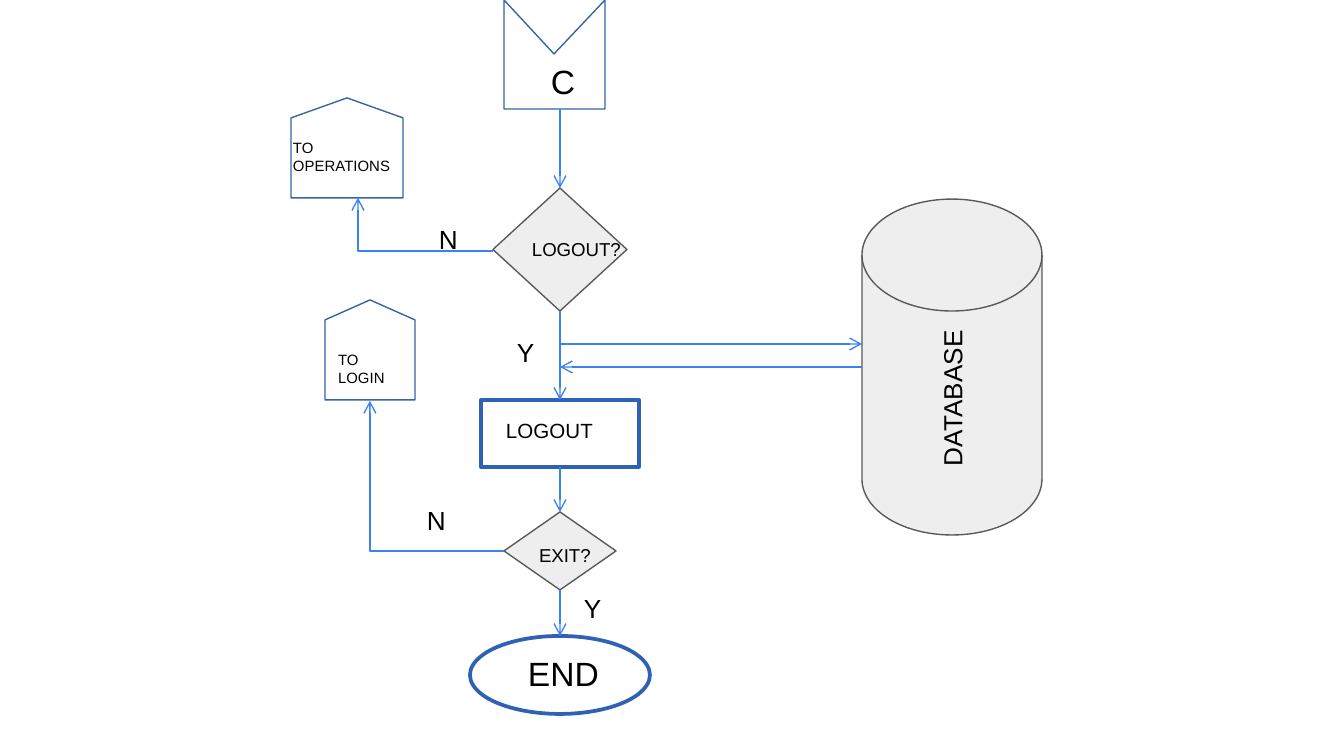
from lxml.etree import SubElement
from pptx import Presentation
from pptx.dml.color import RGBColor
from pptx.enum.shapes import MSO_CONNECTOR, MSO_SHAPE
from pptx.enum.text import MSO_ANCHOR, PP_ALIGN
from pptx.oxml.ns import qn
from pptx.util import Emu, Pt

PX = 914400 / 134.4
AXIS = 560
GREY, WHITE, BLACK = "EEEEEE", "FFFFFF", "000000"
DARK, BLUE, THIN, FLOW = "595959", "3062B4", "3465A4", "3C81F3"

# name: kind, left, top, width, height, fill, line, line width
SHAPES = {
    "database": (MSO_SHAPE.FLOWCHART_DIRECT_ACCESS_STORAGE, 784, 277, 336, 180, GREY, DARK, 0.75),
    "end": (MSO_SHAPE.OVAL, 470, 636, 180, 78, WHITE, BLUE, 2),
    "logout": (MSO_SHAPE.RECTANGLE, 481, 400, 158, 67, WHITE, BLUE, 2),
    "operations": (MSO_SHAPE.FLOWCHART_OFFPAGE_CONNECTOR, 291, 98, 112, 100, WHITE, THIN, 0),
    "logout?": (MSO_SHAPE.DIAMOND, 493, 188, 134, 123, GREY, DARK, 0.75),
    "exit?": (MSO_SHAPE.DIAMOND, 504, 512, 112, 78, GREY, DARK, 0.75),
    "login": (MSO_SHAPE.FLOWCHART_OFFPAGE_CONNECTOR, 325, 300, 90, 100, WHITE, THIN, 0),
}
ENTRY = [(504, 0), (554, 54), (605, 0), (605, 109), (504, 109)]

# start, end, name of the shape left, name of the shape reached
DOWN = [
    (109, 188, None, "logout?"),
    (311, 400, "logout?", "logout"),
    (467, 512, "logout", "exit?"),
    (590, 636, "exit?", "end"),
]
ACROSS = [((AXIS, 344), (862, 344)), ((862, 367), (AXIS, 367))]
BENT = [((493, 251), (358, 198)), ((504, 551), (370, 401))]

# lines, left, top, width, height, size, top inset
LABELS = [
    (["C"], 538, 54, 56, 54, 18, 7),
    (["END"], 515, 646, 134, 54, 18, 7),
    (["LOGOUT"], 493, 411, 134, 38, 11, 7),
    (["LOGOUT?"], 519, 227, 131, 50, 10, 13),
    (["EXIT?"], 526, 533, 112, 52, 10, 13),
    (["TO", "OPERATIONS"], 280, 132, 145, 67, 8, 7),
    (["TO", "LOGIN"], 325, 344, 101, 56, 8, 7),
    (["Y"], 571, 579, 36, 59, 14, 13),
    (["Y"], 504, 323, 36, 59, 14, 13),
    (["N"], 414, 491, 36, 58, 14, 13),
    (["N"], 426, 210, 36, 58, 14, 13),
]


def px(*nums):
    return [Emu(round(n * PX)) for n in nums]


def color(code):
    return RGBColor.from_string(code)


def style(shape, fill, line, width):
    shape.shadow.inherit = False
    if fill:
        shape.fill.solid()
        shape.fill.fore_color.rgb = color(fill)
    else:
        shape.fill.background()
    shape.line.color.rgb = color(line)
    shape.line.width = Pt(width)


def write(shape, lines, size, top):
    frame = shape.text_frame
    frame.word_wrap = True
    frame.margin_left, frame.margin_right = px(13, 13)
    frame.margin_top, frame.margin_bottom = px(top, top)
    for i, line in enumerate(lines):
        para = frame.add_paragraph() if i else frame.paragraphs[0]
        para.alignment = PP_ALIGN.LEFT
        run = para.add_run()
        run.text = line
        run.font.name = "Arial"
        run.font.size = Pt(size)
        run.font.color.rgb = color(BLACK)


def arrow(start, end, kind=MSO_CONNECTOR.STRAIGHT):
    link = slide.shapes.add_connector(kind, *px(*start, *end))
    link.line.color.rgb = color(FLOW)
    link.line.width = Pt(0.75)
    SubElement(link.line._get_or_add_ln(), qn("a:tailEnd"), type="arrow")
    SubElement(link._element.spPr, qn("a:effectLst"))
    return link


deck = Presentation()
deck.slide_width, deck.slide_height = px(1344, 756)
slide = deck.slides.add_slide(deck.slide_layouts[6])

nodes = {}
for name, (kind, left, top, width, height, *look) in SHAPES.items():
    node = slide.shapes.add_shape(kind, *px(left, top, width, height))
    style(node, *look)
    if kind == MSO_SHAPE.FLOWCHART_OFFPAGE_CONNECTOR:
        node._element.spPr.xfrm.set("flipV", "1")
    nodes[name] = node

drum = nodes["database"]
drum.rotation = 270
drum.text_frame.vertical_anchor = MSO_ANCHOR.MIDDLE
write(drum, ["DATABASE"], 14, 13)

pen = slide.shapes.build_freeform(*ENTRY[0], scale=PX)
pen.add_line_segments(ENTRY[1:], close=True)
style(pen.convert_to_shape(), None, THIN, 0)

for start, end, source, target in DOWN:
    link = arrow((AXIS, start), (AXIS, end))
    if source:
        link.begin_connect(nodes[source], 2)
    link.end_connect(nodes[target], 0)
for start, end in ACROSS:
    arrow(start, end)
for start, end in BENT:
    link = arrow(start, end, MSO_CONNECTOR.ELBOW)
    link._element.spPr.find(qn("a:prstGeom")).set("prst", "bentConnector2")

for lines, left, top, width, height, size, inset in LABELS:
    write(slide.shapes.add_textbox(*px(left, top, width, height)), lines, size, inset)

deck.save("out.pptx")
